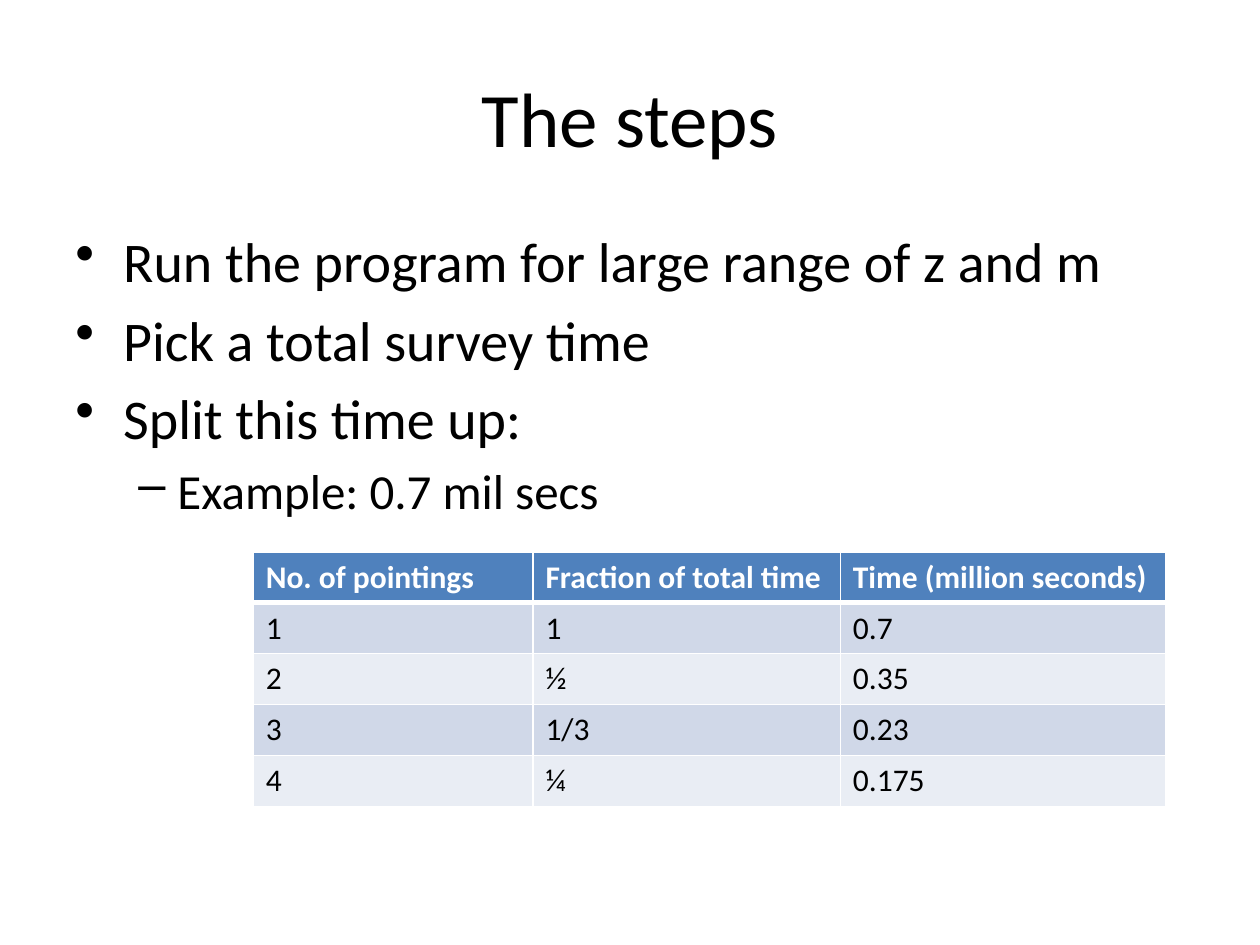
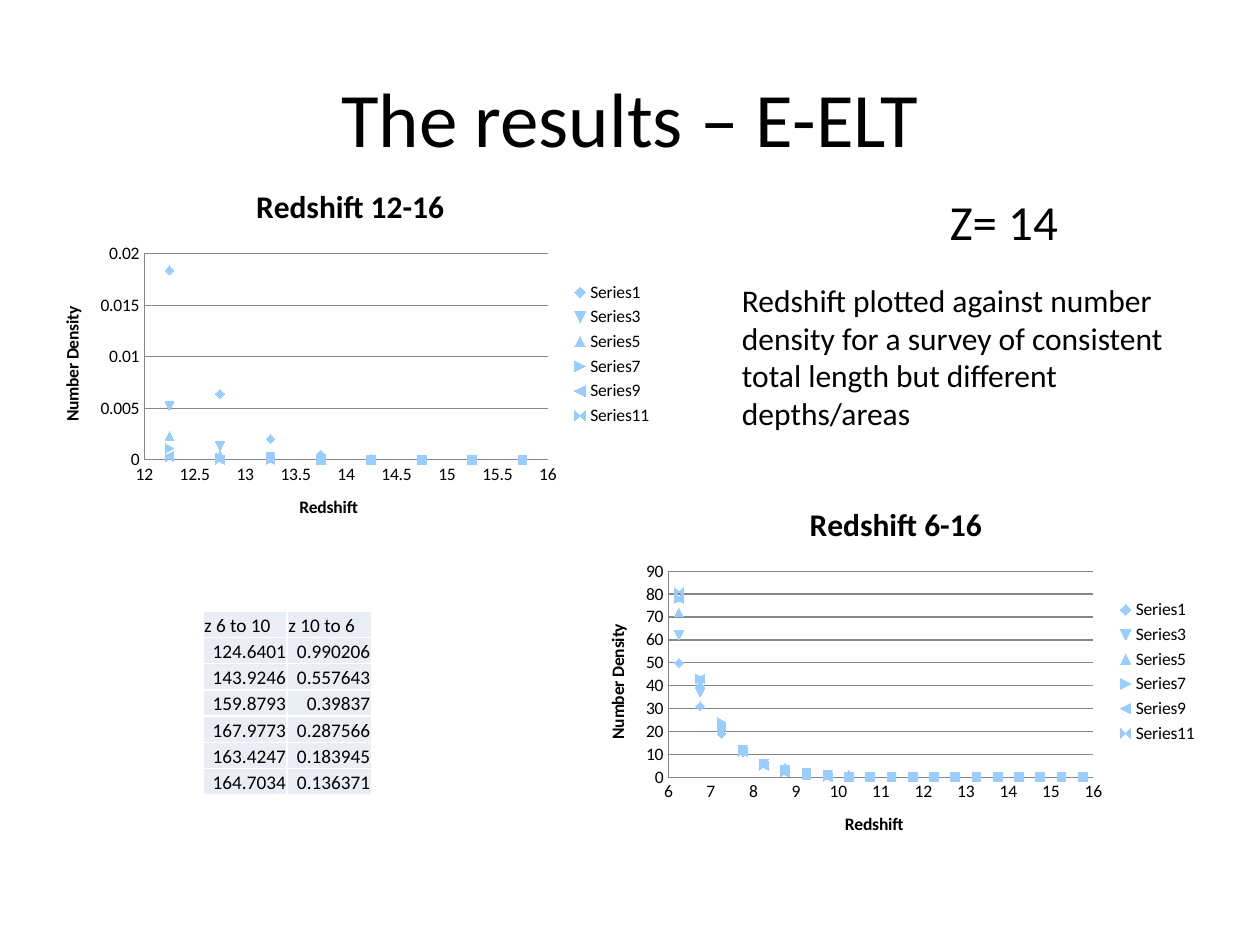
from dataclasses import dataclass

from lxml import etree
from pptx import Presentation, util as u
from pptx.chart.data import XyChartData
from pptx.dml.color import RGBColor
from pptx.enum import chart as ch, text as tx
from pptx.oxml.ns import qn

FONT = "Calibri"
COLORS = {
    "ink": "000000",
    "paper": "FFFFFF",
    "header": "4F81BD",
    "band_dark": "D0D8E8",
    "band_light": "E9EDF4",
    "marker": "99CCFF",
    "grid": "868686",
}


@dataclass(frozen=True)
class Box:
    left: float
    top: float
    width: float
    height: float

    def lengths(self) -> tuple[int, ...]:
        return tuple(u.Inches(n) for n in (self.left, self.top, self.width, self.height))


@dataclass(frozen=True)
class Bullet:
    text: str
    size: int = 32
    mark: str = "•"
    indent: float = 0.38
    hanging: float = 0.38


@dataclass(frozen=True)
class Grid:
    box: Box
    widths: list[float]
    rows: list[list[str]]
    bands: list[str]
    size: int
    margins: tuple[float, float, float, float] = (0.1, 0.05, 0.1, 0.05)
    has_header: bool = False
    anchor: tx.MSO_ANCHOR = tx.MSO_ANCHOR.TOP
    number_align: tx.PP_ALIGN = tx.PP_ALIGN.LEFT


@dataclass(frozen=True)
class Scatter:
    title: str
    box: Box
    first: int
    last: int
    densities: list[list[float]]


TITLE_BOX = Box(0.5, 0.3, 9, 1.25)

STEPS = [
    Bullet("Run the program for large range of z and m"),
    Bullet("Pick a total survey time"),
    Bullet("Split this time up:"),
    Bullet("Example: 0.7 mil secs", 28, "–", 0.81, 0.31),
]

POINTINGS = Grid(
    Box(2.01, 4.38, 7.24, 2.02),
    [2.22, 2.44, 2.58],
    [
        ["No. of pointings", "Fraction of total time", "Time (million seconds)"],
        ["1", "1", "0.7"],
        ["2", "½", "0.35"],
        ["3", "1/3", "0.23"],
        ["4", "¼", "0.175"],
    ],
    ["band_light", "band_dark"],
    18,
    has_header=True,
)

COUNTS = Grid(
    Box(1.61, 4.85, 1.34, 1.46),
    [0.67, 0.67],
    [
        ["z 6 to 10", "z 10 to 6"],
        ["124.6401", "0.990206"],
        ["143.9246", "0.557643"],
        ["159.8793", "0.39837"],
        ["167.9773", "0.287566"],
        ["163.4247", "0.183945"],
        ["164.7034", "0.136371"],
    ],
    ["band_light"],
    11,
    margins=(0.01, 0.01, 0.01, 0),
    anchor=tx.MSO_ANCHOR.BOTTOM,
    number_align=tx.PP_ALIGN.RIGHT,
)

SCATTERS = [
    Scatter(
        "Redshift 12-16", Box(0.28, 1.31, 5, 3), 12, 16,
        [
            [0.0184, 0.0064, 0.002, 0.0005, 0.0001],
            [0.0052, 0.0013, 0.0003],
            [0.0023, 0.0005, 0.0001],
            [0.0011, 0.0002],
            [0.0004],
            [0.0002],
        ],
    ),
    Scatter(
        "Redshift 6-16", Box(4.61, 3.83, 5, 3), 6, 16,
        [
            [50, 31, 19, 11, 6, 4, 2, 1, 1],
            [62, 37, 21, 12, 6, 3, 2, 1],
            [72, 41, 23, 12, 6, 3, 1, 1],
            [78, 43, 24, 12, 6, 3, 1, 1],
            [78, 43, 22, 11, 5, 2, 1],
            [81, 43, 22, 11, 5, 2, 1],
        ],
    ),
]


def color(name: str) -> RGBColor:
    return RGBColor.from_string(COLORS[name])


def style_font(font, size: int, ink: str = "ink", bold: bool = False) -> None:
    font.name, font.size, font.bold = FONT, u.Pt(size), bold
    font.color.rgb = color(ink)


def add_titled_slide(deck, title: str):
    slide = deck.slides.add_slide(deck.slide_layouts[5])
    heading = slide.shapes.title
    heading.left, heading.top, heading.width, heading.height = TITLE_BOX.lengths()
    heading.text_frame.text = title
    heading.text_frame.vertical_anchor = tx.MSO_ANCHOR.MIDDLE
    paragraph = heading.text_frame.paragraphs[0]
    paragraph.alignment = tx.PP_ALIGN.CENTER
    style_font(paragraph.font, 44)
    return slide


def add_text(slide, box: Box, lines: list[str], size: int):
    frame = slide.shapes.add_textbox(*box.lengths()).text_frame
    frame.word_wrap = True
    frame.text = "\n".join(lines)
    for paragraph in frame.paragraphs:
        style_font(paragraph.font, size)
    return frame


def add_bullets(slide, box: Box, bullets: list[Bullet]) -> None:
    frame = add_text(slide, box, [bullet.text for bullet in bullets], 32)
    for paragraph, bullet in zip(frame.paragraphs, bullets):
        paragraph.font.size = u.Pt(bullet.size)
        paragraph.space_before = u.Pt(bullet.size * 0.2)
        properties = paragraph._p.get_or_add_pPr()
        properties.set("marL", str(u.Inches(bullet.indent)))
        properties.set("indent", str(-u.Inches(bullet.hanging)))
        mark = etree.Element(qn("a:buChar"), char=bullet.mark)
        properties.find(qn("a:spcBef")).addnext(mark)


def set_borders(cell, top: int, bottom: int) -> None:
    properties = cell._tc.get_or_add_tcPr()
    for side, width in {"L": 1, "R": 1, "T": top, "B": bottom}.items():
        line = etree.SubElement(properties, qn(f"a:ln{side}"), w=str(u.Pt(width)))
        fill = etree.SubElement(line, qn("a:solidFill"))
        etree.SubElement(fill, qn("a:srgbClr"), val=COLORS["paper"])


def add_grid(slide, grid: Grid) -> None:
    table = slide.shapes.add_table(
        len(grid.rows), len(grid.widths), *grid.box.lengths()
    ).table
    table.first_row = table.horz_banding = False
    for column, width in zip(table.columns, grid.widths):
        column.width = u.Inches(width)
    for r, row in enumerate(grid.rows):
        is_header = grid.has_header and r == 0
        band = "header" if is_header else grid.bands[r % len(grid.bands)]
        for c, value in enumerate(row):
            cell = table.cell(r, c)
            cell.text = value
            cell.vertical_anchor = grid.anchor
            (cell.margin_left, cell.margin_top,
             cell.margin_right, cell.margin_bottom) = map(u.Inches, grid.margins)
            set_borders(cell, 3 if grid.has_header and r == 1 else 1, 3 if is_header else 1)
            cell.fill.solid()
            cell.fill.fore_color.rgb = color(band)
            paragraph = cell.text_frame.paragraphs[0]
            paragraph.alignment = grid.number_align if r else tx.PP_ALIGN.LEFT
            style_font(paragraph.font, grid.size, "paper" if is_header else "ink", is_header)


def set_heading(owner, heading: str, size: int) -> None:
    owner.text_frame.text = heading
    style_font(owner.text_frame.paragraphs[0].font, size, bold=True)


def style_axis(axis, heading: str, has_grid: bool) -> None:
    set_heading(axis.axis_title, heading, 10)
    axis.major_tick_mark = axis.minor_tick_mark = ch.XL_TICK_MARK.NONE
    axis.has_major_gridlines = has_grid
    lines = [axis.format.line]
    if has_grid:
        lines.append(axis.major_gridlines.format.line)
    for line in lines:
        line.color.rgb = color("grid")
        line.width = u.Pt(0.75)


def add_scatter(slide, scatter: Scatter) -> None:
    data = XyChartData()
    for number, densities in enumerate(scatter.densities):
        series = data.add_series(f"Series{2 * number + 1}")
        for step in range(2 * (scatter.last - scatter.first)):
            density = densities[step] if step < len(densities) else 0
            series.add_data_point(scatter.first + 0.25 + step / 2, density)
    chart = slide.shapes.add_chart(
        ch.XL_CHART_TYPE.XY_SCATTER, *scatter.box.lengths(), data
    ).chart
    style_font(chart.font, 10)
    set_heading(chart.chart_title, scatter.title, 18)
    chart.chart_title.include_in_layout = False
    chart.has_legend = True
    chart.legend.position = ch.XL_LEGEND_POSITION.RIGHT
    chart.legend.include_in_layout = False
    style_axis(chart.category_axis, "Redshift", False)
    style_axis(chart.value_axis, "Number Density", True)
    chart.category_axis.minimum_scale = scatter.first
    chart.category_axis.maximum_scale = scatter.last
    plot = chart.plots[0]
    plot.vary_by_categories = False
    for series in plot.series:
        series.smooth = False
        series.format.line.fill.background()
        series.marker.style = ch.XL_MARKER_STYLE.AUTOMATIC
        series.marker.format.fill.solid()
        series.marker.format.fill.fore_color.rgb = color("marker")
        series.marker.format.line.color.rgb = color("marker")


def main() -> None:
    """Build the steps slide and the results slide."""
    deck = Presentation()
    deck.slide_width, deck.slide_height = u.Inches(10), u.Inches(7.5)

    steps = add_titled_slide(deck, "The steps")
    add_bullets(steps, Box(0.5, 1.75, 9, 4.95), STEPS)
    add_grid(steps, POINTINGS)

    results = add_titled_slide(deck, "The results – E-ELT")
    for scatter in SCATTERS:
        add_scatter(results, scatter)
    add_grid(results, COUNTS)
    summary = (
        "Redshift plotted against number density for a survey of "
        "consistent total length but different depths/areas"
    )
    add_text(results, Box(5.79, 2.18, 3.62, 1.31), [summary], 18)
    add_text(results, Box(7.44, 1.47, 1.18, 0.57), ["Z= 14"], 28)

    deck.save("out.pptx")


if __name__ == "__main__":
    main()
